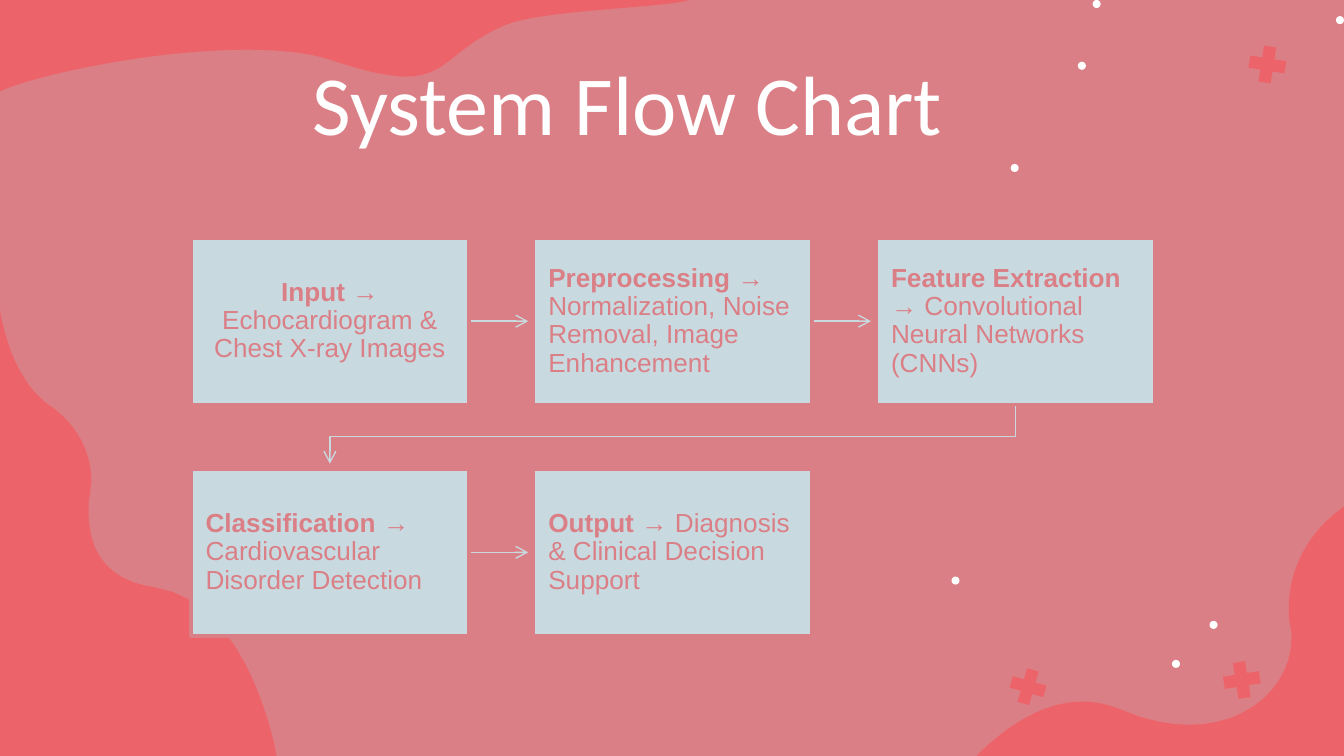
from lxml import etree
from pptx import Presentation
from pptx.dml.color import RGBColor
from pptx.enum.shapes import MSO_CONNECTOR, MSO_SHAPE
from pptx.enum.text import MSO_ANCHOR, PP_ALIGN
from pptx.oxml.ns import qn
from pptx.util import Inches, Pt

RECT, OVAL, CROSS = MSO_SHAPE.RECTANGLE, MSO_SHAPE.OVAL, MSO_SHAPE.CROSS
STRAIGHT = MSO_CONNECTOR.STRAIGHT
MIDDLE = MSO_ANCHOR.MIDDLE
LEFT, CENTER, JUSTIFY = PP_ALIGN.LEFT, PP_ALIGN.CENTER, PP_ALIGN.JUSTIFY

HEX = {"rose": "DB7F86", "coral": "EC6469", "mist": "C9D9E0", "white": "FFFFFF"}
COLOR = {name: RGBColor.from_string(code) for name, code in HEX.items()}

# A 16:9 slide
prs = Presentation()
prs.slide_width = Inches(10)
prs.slide_height = Inches(10 * 9 / 16)
slide = prs.slides.add_slide(prs.slide_layouts[6])
slide.background.fill.solid()
slide.background.fill.fore_color.rgb = COLOR["rose"]
shapes = slide.shapes


def paint(shape, fill):
    shape.shadow.inherit = False
    shape.fill.solid()
    shape.fill.fore_color.rgb = COLOR[fill]
    shape.line.fill.background()


def point(shape):
    """Style a line and put an open arrowhead at its end."""
    shape.line.color.rgb = COLOR["mist"]
    shape.line.width = Pt(0.75)
    props = shape.line._get_or_add_ln()
    etree.SubElement(props, qn("a:tailEnd"), type="arrow")


# Crosses: centre, size, turn
for x, y, size, turn in [(9.24, 5.06, 0.27, -9), (7.65, 5.11, 0.26, 16),
                         (9.43, 0.48, 0.27, 9)]:
    cross = shapes.add_shape(CROSS, Inches(x - size / 2), Inches(y - size / 2),
                             Inches(size), Inches(size))
    cross.adjustments[0] = 0.33
    cross.rotation = turn
    paint(cross, "coral")

# White dots by centre
DOT = 0.06
for x, y in [(9.03, 4.65), (8.75, 4.94), (7.11, 4.32), (7.55, 1.25),
             (8.05, 0.49), (8.16, 0.03), (9.97, 0.15)]:
    dot = shapes.add_shape(OVAL, Inches(x - DOT / 2), Inches(y - DOT / 2),
                           Inches(DOT), Inches(DOT))
    paint(dot, "white")

# Corner blobs: a start, then line ends (x, y) or cubic curves (six numbers)
BLOBS = [
    [(0, 2.31), (0.04, 2.54, 0.14, 2.85, 0.36, 3.01),
     (0.57, 3.15, 0.68, 3.36, 0.68, 3.58), (0.68, 3.61, 0.67, 3.65, 0.67, 3.68),
     (0.66, 3.71, 0.66, 3.76, 0.66, 3.81), (0.66, 4.02, 0.73, 4.31, 1.15, 4.37),
     (1.87, 4.48, 2.06, 5.63, 2.06, 5.63), (0, 5.63)],
    [(7.26, 5.63), (7.56, 5.33, 7.94, 5.11, 8.34, 5.28),
     (9.08, 5.6, 9.61, 5.19, 9.61, 4.75), (9.61, 4.72, 9.61, 4.69, 9.6, 4.66),
     (9.59, 4.61, 9.59, 4.57, 9.59, 4.52), (9.59, 4.23, 9.74, 3.95, 10, 3.77),
     (10, 5.63)],
    [(0, 0), (0, 0.68), (0.26, 0.56, 1.13, 0.37, 1.83, 0.37),
     (2.07, 0.37, 2.3, 0.39, 2.47, 0.45), (2.72, 0.53, 2.89, 0.57, 3.02, 0.57),
     (3.33, 0.57, 3.36, 0.36, 3.75, 0.19), (4.03, 0.07, 4.95, 0.06, 5.13, 0)],
]
STEPS = 16
for start, *parts in BLOBS:
    trace = [start]
    for part in parts:
        if len(part) == 2:
            trace.append(part)
            continue
        ends = [trace[-1], part[:2], part[2:4], part[4:]]
        for i in range(1, STEPS + 1):
            t = i / STEPS
            w = [(1 - t) ** 3, 3 * t * (1 - t) ** 2, 3 * t * t * (1 - t), t ** 3]
            trace.append(tuple(sum(k * e[axis] for k, e in zip(w, ends))
                               for axis in (0, 1)))
    spots = [(Inches(x), Inches(y)) for x, y in trace]
    pen = shapes.build_freeform(*spots[0])
    pen.add_line_segments(spots[1:])
    paint(pen.convert_to_shape(), "coral")

# Title
title = shapes.add_textbox(Inches(2.23), Inches(0.27), Inches(6.09), Inches(0.97))
frame = title.text_frame
frame.word_wrap = True
frame.vertical_anchor = MIDDLE
frame.margin_top = frame.margin_bottom = Inches(0.1)
frame.text = "System Flow Chart"
para = frame.paragraphs[0]
para.alignment = JUSTIFY
font = para.runs[0].font
font.name, font.size, font.color.rgb = "Calibri", Pt(45), COLOR["white"]

# Step grid: three columns, filled row by row
X, Y, WIDE, HIGH = 1.42, 1.77, 2.07, 1.24
ACROSS, DOWN, REACH = 2.55, 1.72, 0.44
STAGES = [
    ("Input", "Echocardiogram & Chest X-ray Images"),
    ("Preprocessing", "Normalization, Noise Removal, Image Enhancement"),
    ("Feature Extraction", "Convolutional Neural Networks (CNNs)"),
    ("Classification", "Cardiovascular Disorder Detection"),
    ("Output", "Diagnosis & Clinical Decision Support"),
]
for i, (name, detail) in enumerate(STAGES):
    row, col = divmod(i, 3)
    x, y = X + col * ACROSS, Y + row * DOWN

    # Arrow to the next step, bent where the row ends
    if col == 2:
        mid, foot = x + WIDE / 2, y + HIGH
        first = X + WIDE / 2
        pen = shapes.build_freeform(Inches(mid), Inches(foot))
        pen.add_line_segments(
            [(Inches(mid), Inches(foot + 0.24)), (Inches(first), Inches(foot + 0.24)),
             (Inches(first), Inches(foot + REACH))], close=False)
        bend = pen.convert_to_shape()
        bend.shadow.inherit = False
        bend.fill.background()
        point(bend)
    elif i < len(STAGES) - 1:
        edge, mid = x + WIDE, Inches(y + HIGH / 2)
        arrow = shapes.add_connector(STRAIGHT, Inches(edge), mid,
                                     Inches(edge + REACH), mid)
        point(arrow)
        etree.SubElement(arrow._element.spPr, qn("a:effectLst"))

    # Step box
    box = shapes.add_shape(RECT, Inches(x), Inches(y), Inches(WIDE), Inches(HIGH))
    paint(box, "mist")
    box.line.color.rgb = COLOR["rose"]
    box.line.width = Pt(2)
    frame = box.text_frame
    frame.word_wrap = True
    frame.vertical_anchor = MIDDLE
    frame.margin_left = frame.margin_right = Inches(0.11)
    frame.margin_top = frame.margin_bottom = Inches(0.11)
    para = frame.paragraphs[0]
    para.alignment = CENTER if i == 0 else LEFT
    para.line_spacing = 0.9
    for text, bold in [(name, True), (f" → {detail}", False)]:
        run = para.add_run()
        run.text = text
        font = run.font
        font.name, font.size, font.bold = "Arial", Pt(14), bold
        font.color.rgb = COLOR["rose"]

prs.save("out.pptx")
